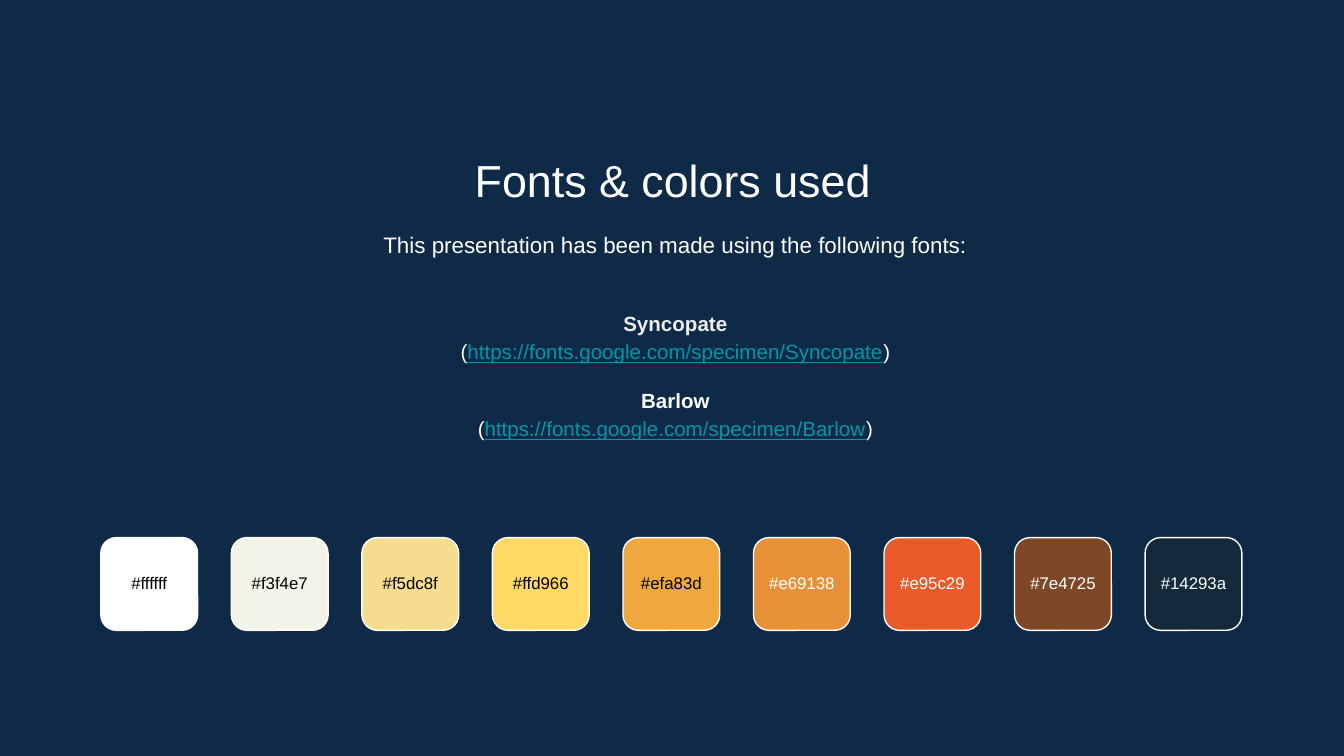
from pptx import Presentation
from pptx.dml.color import RGBColor
from pptx.enum import shapes, text
from pptx.util import Inches, Pt

COLORS = {
    "background": "0E2A47",
    "white": "FFFFFF",
    "black": "000000",
    "light_gray": "EFEFEF",
    "link": "0097A7",
}
SWATCHES = [
    ("#ffffff", "black"),
    ("#f3f4e7", "black"),
    ("#f5dc8f", "black"),
    ("#ffd966", "black"),
    ("#efa83d", "black"),
    ("#e69138", "white"),
    ("#e95c29", "white"),
    ("#7e4725", "white"),
    ("#14293a", "white"),
]
FONTS = [
    ("Syncopate", "https://fonts.google.com/specimen/Syncopate", "light_gray", 0),
    ("Barlow", "https://fonts.google.com/specimen/Barlow", "white", 11),
]
FONT = "Arial"
SWATCH_WIDTH, SWATCH_HEIGHT = 0.72, 0.69
FIRST_LEFT, LAST_LEFT, SWATCH_TOP = 0.75, 8.52, 4
LABEL_TOP, LABEL_HEIGHT = 4.14, 0.4


def rgb(name):
    return RGBColor.from_string(COLORS[name])


def add_box(slide, left, top, width, height, anchor=text.MSO_ANCHOR.TOP):
    box = slide.shapes.add_textbox(
        Inches(left), Inches(top), Inches(width), Inches(height))
    frame = box.text_frame
    frame.word_wrap = True
    frame.vertical_anchor = anchor
    frame.margin_left = frame.margin_right = Inches(0.1)
    frame.margin_top = frame.margin_bottom = Inches(0.1)
    return frame


def add_run(paragraph, content, size, color, bold=False, underline=False):
    run = paragraph.add_run()
    run.text = content
    run.font.name = FONT
    run.font.size = Pt(size)
    run.font.bold = bold
    run.font.underline = underline
    run.font.color.rgb = rgb(color)


def center(paragraph, line_spacing=1.0):
    paragraph.alignment = text.PP_ALIGN.CENTER
    paragraph.line_spacing = line_spacing
    return paragraph


def add_line(slide, content, size, color, area, line_spacing=1.0,
             anchor=text.MSO_ANCHOR.TOP):
    frame = add_box(slide, *area, anchor=anchor)
    add_run(center(frame.paragraphs[0], line_spacing), content, size, color)


def add_font_list(slide):
    frame = add_box(slide, 1.17, 2.1, 7.71, 1.37, text.MSO_ANCHOR.MIDDLE)
    for index, (name, address, color, space_before) in enumerate(FONTS):
        heading = frame.add_paragraph() if index else frame.paragraphs[0]
        center(heading, 1.15)
        heading.space_before = Pt(space_before)
        add_run(heading, name, 11, color, bold=True)
        source = center(frame.add_paragraph(), 1.15)
        add_run(source, "(", 11, "white")
        add_run(source, address, 11, "link", underline=True)
        add_run(source, ")", 11, "white")


def add_swatch(slide, left, code, label_color):
    swatch = slide.shapes.add_shape(
        shapes.MSO_SHAPE.ROUNDED_RECTANGLE, Inches(left), Inches(SWATCH_TOP),
        Inches(SWATCH_WIDTH), Inches(SWATCH_HEIGHT))
    swatch.shadow.inherit = False
    swatch.fill.solid()
    swatch.fill.fore_color.rgb = RGBColor.from_string(code[1:].upper())
    swatch.line.color.rgb = rgb("white")
    swatch.line.width = Pt(0.75)
    add_line(slide, code, 9, label_color,
             (left, LABEL_TOP, SWATCH_WIDTH, LABEL_HEIGHT),
             anchor=text.MSO_ANCHOR.MIDDLE)


def main():
    presentation = Presentation()
    presentation.slide_width = Inches(10)
    presentation.slide_height = Inches(10) * 9 // 16
    slide = presentation.slides.add_slide(presentation.slide_layouts[6])
    slide.background.fill.solid()
    slide.background.fill.fore_color.rgb = rgb("background")

    add_line(slide, "Fonts & colors used", 24, "white", (1.15, 1.04, 7.71, 0.53))
    add_line(slide, "This presentation has been made using the following fonts:",
             12, "white", (1.17, 1.59, 7.71, 0.48), line_spacing=1.15)
    add_font_list(slide)

    pitch = (LAST_LEFT - FIRST_LEFT) / (len(SWATCHES) - 1)
    for index, (code, label_color) in enumerate(SWATCHES):
        add_swatch(slide, FIRST_LEFT + index * pitch, code, label_color)

    presentation.save("out.pptx")


if __name__ == "__main__":
    main()
